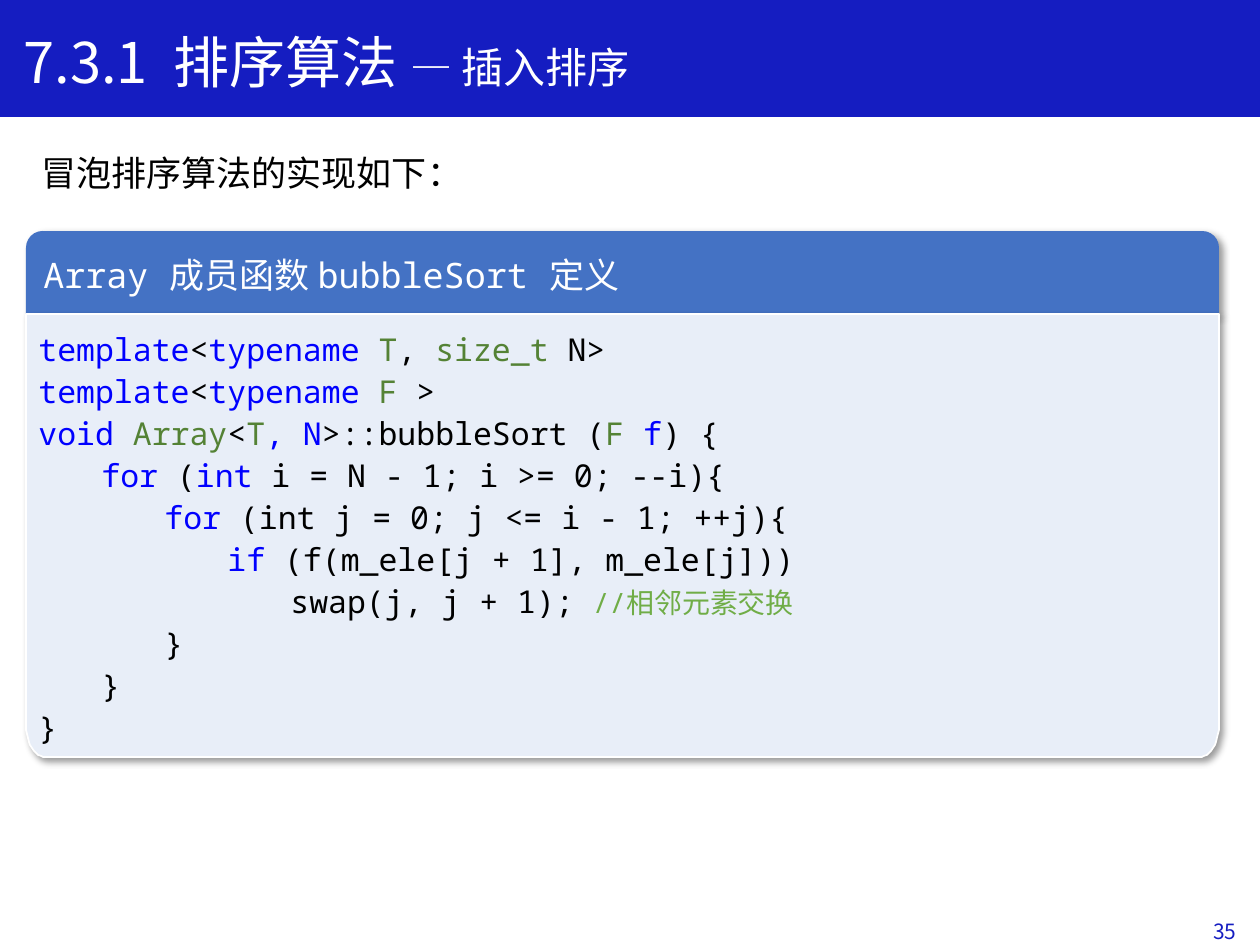
from math import cos, sin, pi

from lxml.etree import SubElement as Sub
from pptx import Presentation
from pptx.dml.color import RGBColor as RGB
from pptx.enum.shapes import MSO_SHAPE as Shape
from pptx.enum.text import MSO_ANCHOR as Anchor, MSO_AUTO_SIZE as Auto, PP_ALIGN as Align
from pptx.oxml.ns import qn
from pptx.util import Inches, Pt

INK = {
    "bar": "151DC1", "head": "4472C4", "panel": "E8EEF8",
    "white": "FFFFFF", "black": "000000",
    "key": "0000FF", "type": "548235", "note": "70AD47",
}
SANS, MONO = "Noto Sans CJK SC", "Noto Sans Mono"
SCALE = Inches(1) / 126


def emu(px):
    return round(px * SCALE)


class Deck:
    def __init__(self, wide, high):
        self.prs = Presentation()
        self.prs.slide_width, self.prs.slide_height = emu(wide), emu(high)
        self.slide = self.prs.slides.add_slide(self.prs.slide_layouts[5])
        self.shapes = self.slide.shapes

    def fill_text(self, shape, lines, font=SANS, align=Align.LEFT, space=None):
        """Each line is a list of (text, size, colour) runs."""
        frame = shape.text_frame
        frame.word_wrap, frame.auto_size = True, Auto.NONE
        frame.vertical_anchor = Anchor.MIDDLE
        for i, line in enumerate(lines):
            para = frame.add_paragraph() if i else frame.paragraphs[0]
            para.alignment = align
            if space:
                para.line_spacing = Pt(space)
            para._p.get_or_add_pPr().set("defTabSz", str(Inches(0.5)))
            for text, size, ink in line:
                run = para.add_run()
                run.text = text
                run.font.name, run.font.size = font, Pt(size)
                run.font.color.rgb = RGB.from_string(INK[ink])
                Sub(run._r.get_or_add_rPr(), qn("a:ea"), typeface=SANS)

    def paint(self, shape, fill, line=None):
        shape.shadow.inherit = False
        shape.fill.solid()
        shape.fill.fore_color.rgb = RGB.from_string(INK[fill])
        if line:
            shape.line.color.rgb = RGB.from_string(INK[line])
            shape.line.width = Pt(1)
        else:
            shape.line.fill.background()

    def shade(self, shape):
        effect = shape._element.spPr.find(qn("a:effectLst"))
        shadow = Sub(effect, qn("a:outerShdw"), blurRad=str(Pt(4)), dist=str(Pt(3)),
                     dir=str(45 * 60000), algn="tl", rotWithShape="0")
        tint = Sub(shadow, qn("a:srgbClr"), val=INK["black"])
        Sub(tint, qn("a:alpha"), val="40000")

    def title(self, box, line):
        shape = self.shapes.title
        shape.left, shape.top, shape.width, shape.height = map(emu, box)
        self.fill_text(shape, [line])

    def text(self, box, line, align=Align.LEFT):
        self.fill_text(self.shapes.add_textbox(*map(emu, box)), [line], align=align)

    def bar(self, box, ink):
        shape = self.shapes.add_shape(Shape.RECTANGLE, *map(emu, box))
        self.paint(shape, ink, ink)
        self.shapes._spTree.insert(2, shape._element)  # behind the title

    def card(self, x, y, wide, split, high, head, code):
        group = self.shapes.add_group_shape().shapes

        # Header with rounded top corners
        top = group.add_shape(Shape.ROUND_2_SAME_RECTANGLE, *map(emu, (x, y, wide, split)))
        top.adjustments[0], top.adjustments[1] = 0.2, 0
        self.paint(top, "head")
        self.shade(top)
        self.fill_text(top, [head], MONO)

        # Body with rounded bottom corners
        rx, ry, steps = 20, 31, 12
        left, right, base = x, x + wide, y + high
        dots = [(right, y + split)]
        for mid, start in ((right - rx, 0), (left + rx, pi / 2)):
            for i in range(steps + 1):
                turn = start + pi / 2 * i / steps
                dots.append((mid + rx * cos(turn), base - ry + ry * sin(turn)))
        edge = group.build_freeform(left, y + split, scale=SCALE)
        edge.add_line_segments(dots, close=True)
        body = edge.convert_to_shape()
        self.paint(body, "panel", "white")
        self.shade(body)
        self.fill_text(body, code, MONO, space=24)

    def save(self):
        self.prs.save("out.pptx")


def key(text):
    return text, 18, "key"


def kind(text):
    return text, 18, "type"


def plain(text):
    return text, 18, "black"


CODE = [
    [key("template"), plain("<"), key("typename "), kind("T"), plain(", "),
     kind("size_t "), plain("N>")],
    [key("template"), plain("<"), key("typename "), kind("F "), plain(">")],
    [key("void "), kind("Array"), plain("<"), kind("T"), key(", N"),
     plain(">::bubbleSort ("), kind("F"), key(" f"), plain(") {")],
    [key("\tfor "), plain("("), key("int "), plain("i = N - 1; i >= 0; --i){")],
    [key("\t\tfor "), plain("(int j = 0; j <= i - 1; ++j){")],
    [key("\t\t\tif "), plain("(f(m_ele[j + 1], m_ele[j]))")],
    [plain("\t\t\t\tswap(j, j + 1); "), ("//相邻元素交换", 16, "note")],
    [plain("\t\t}")],
    [plain("\t}")],
    [plain("}")],
]


def main():
    deck = Deck(1260, 945)

    # Title bar
    deck.bar((0, 0, 1260, 116), "bar")
    deck.title((11, 21, 1173, 81),
               [("7.3.1  排序算法 ", 32, "white"), ("— 插入排序", 24, "white")])

    # Lead line
    deck.text((29, 145, 1205, 55), [("冒泡排序算法的实现如下：", 20, "black")])

    # Code card
    deck.card(26, 231, 1193, 83, 526,
              [("Array 成员函数 bubbleSort 定义", 20, "white")], CODE)

    # Page number
    deck.text((965, 906, 284, 50), [("35", 12, "bar")], Align.RIGHT)
    deck.save()


if __name__ == "__main__":
    main()
